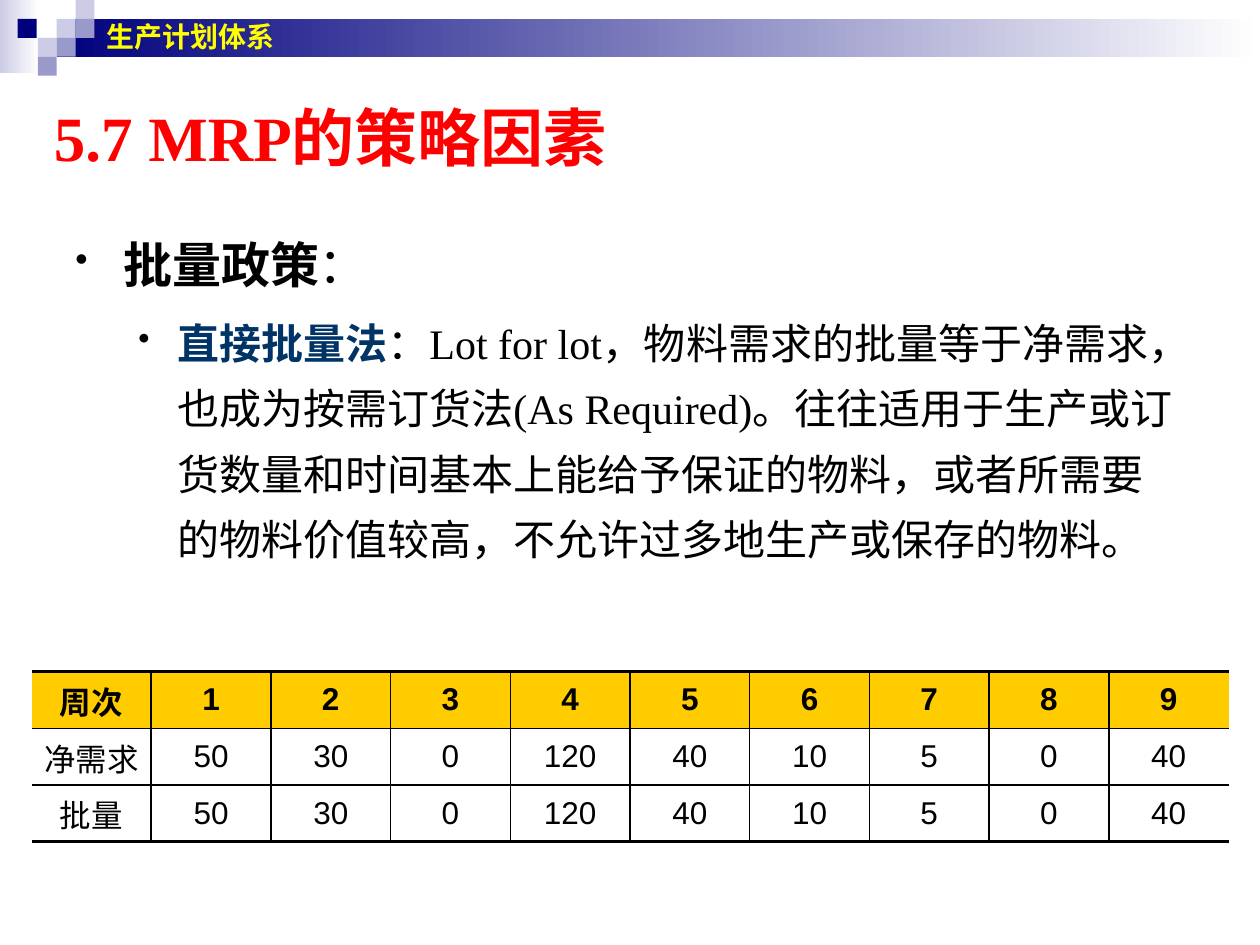
import dataclasses

import lxml.etree
import pptx
import pptx.dml.color
import pptx.enum.shapes
import pptx.enum.text
import pptx.oxml.ns
import pptx.util

Inches = pptx.util.Inches
Pt = pptx.util.Pt
qn = pptx.oxml.ns.qn
MIDDLE = pptx.enum.text.MSO_ANCHOR.MIDDLE
TOP = pptx.enum.text.MSO_ANCHOR.TOP
CENTER = pptx.enum.text.PP_ALIGN.CENTER


@dataclasses.dataclass(frozen=True)
class Theme:
    navy: str = "00007D"
    lavender: str = "CCCCE6"
    violet: str = "9999CC"
    white: str = "FFFFFF"
    black: str = "000000"
    red: str = "FF0000"
    yellow: str = "FFFF00"
    term: str = "003366"
    gold: str = "FFCC00"
    serif: str = "Times New Roman"
    sans: str = "Arial"
    title_size: int = 36
    topic_size: int = 28
    detail_size: int = 24
    table_size: int = 18
    header_size: int = 16
    thick: float = 2.25
    thin: float = 1


def rgb(color):
    return pptx.dml.color.RGBColor.from_string(color)


class SlideBuilder:
    def __init__(self, theme, page):
        self.theme = theme
        self.page = page

    def rect(self, left, top, width, height, color, fade_to=None):
        box = self.page.shapes.add_shape(
            pptx.enum.shapes.MSO_SHAPE.RECTANGLE,
            Inches(left), Inches(top), Inches(width), Inches(height))
        box.shadow.inherit = False
        box.line.fill.background()
        if fade_to:
            box.fill.gradient()
            box.fill.gradient_angle = 0
            for stop, (position, shade) in zip(
                    box.fill.gradient_stops, ((0, color), (1, fade_to))):
                stop.position = position
                stop.color.rgb = rgb(shade)
        else:
            box.fill.solid()
            box.fill.fore_color.rgb = rgb(color)

    def text_box(self, left, top, width, height, anchor=MIDDLE):
        box = self.page.shapes.add_textbox(
            Inches(left), Inches(top), Inches(width), Inches(height))
        frame = box.text_frame
        frame.word_wrap = True
        frame.vertical_anchor = anchor
        return frame

    def span(self, para, text, color, **font_values):
        span = para.add_run()
        span.text = text
        span.font.color.rgb = rgb(color)
        for name, value in font_values.items():
            setattr(span.font, name, value)

    def bullet(self, para, margin, hanging, percent):
        props = para._p.get_or_add_pPr()
        props.set("marL", str(Inches(margin)))
        props.set("indent", str(-Inches(hanging)))
        color = lxml.etree.SubElement(props, qn("a:buClr"))
        lxml.etree.SubElement(color, qn("a:srgbClr"), val=self.theme.black)
        lxml.etree.SubElement(props, qn("a:buSzPct"), val=str(percent * 1000))
        lxml.etree.SubElement(props, qn("a:buChar"), char="•")

    def borders(self, cell, widths):
        props = cell._tc.get_or_add_tcPr()
        for index, (side, width) in enumerate(widths.items()):
            line = lxml.etree.Element(qn(f"a:ln{side}"), w=str(Pt(width)))
            if width:
                fill = lxml.etree.SubElement(line, qn("a:solidFill"))
                lxml.etree.SubElement(
                    fill, qn("a:srgbClr"), val=self.theme.black)
            else:
                lxml.etree.SubElement(line, qn("a:noFill"))
            props.insert(index, line)

    def table(self, left, top, col_width, row_height, rows):
        theme = self.theme
        row_count, col_count = len(rows), len(rows[0])
        table = self.page.shapes.add_table(
            row_count, col_count, Inches(left), Inches(top),
            Inches(col_width * col_count),
            Inches(row_height * row_count)).table
        table.first_row = table.horz_banding = False
        for column in table.columns:
            column.width = Inches(col_width)
        for r, values in enumerate(rows):
            table.rows[r].height = Inches(row_height)
            for c, value in enumerate(values):
                cell = table.cell(r, c)
                cell.vertical_anchor = MIDDLE
                if r == 0:
                    cell.fill.solid()
                    cell.fill.fore_color.rgb = rgb(theme.gold)
                else:
                    cell.fill.background()
                # Open sides, thick rules above and below the table
                self.borders(cell, {
                    "L": theme.thin if c else 0,
                    "R": theme.thin if c < col_count - 1 else 0,
                    "T": theme.thin if r else theme.thick,
                    "B": theme.thin if r < row_count - 1 else theme.thick})
                para = cell.text_frame.paragraphs[0]
                para.alignment = CENTER
                self.span(para, value, theme.black, name=theme.sans,
                          size=Pt(theme.table_size), bold=r == 0)


def main():
    theme = Theme()
    deck = pptx.Presentation()
    deck.slide_width, deck.slide_height = Inches(10), Inches(7.5)
    page = deck.slides.add_slide(deck.slide_layouts[6])
    builder = SlideBuilder(theme, page)

    # Header band and its checkered corner
    builder.rect(0, 0, 0.31, 0.58, theme.lavender, fade_to=theme.white)
    builder.rect(0.45, 0.15, 9.55, 0.3, theme.navy, fade_to=theme.white)
    square = 0.15
    for left, top, color in (
            (0.45, 0.15, theme.lavender), (0.6, 0, theme.lavender),
            (0.6, 0.15, theme.violet), (0.3, 0.3, theme.lavender),
            (0.14, 0.15, theme.navy), (0.45, 0.3, theme.violet),
            (0.3, 0.45, theme.violet)):
        builder.rect(left, top, square, square, color)

    # Title
    title = builder.text_box(0.33, 0.75, 9, 0.67)
    builder.span(title.paragraphs[0], "5.7 MRP的策略因素", theme.red,
                 name=theme.serif, size=Pt(theme.title_size), bold=True)

    # Topic and its explanation
    body = builder.text_box(0.5, 1.58, 9, 5.42, anchor=TOP)
    topic = body.paragraphs[0]
    detail = body.add_paragraph()
    detail.level = 1
    detail.space_before = Pt(5)
    for para, bullet, spacing, size, term, color, text in (
            (topic, (0.38, 0.38, 75), 1.5, theme.topic_size,
             "批量政策", theme.black, "："),
            (detail, (0.81, 0.31, 80), 1.3, theme.detail_size,
             "直接批量法", theme.term,
             "：Lot for lot，物料需求的批量等于净需求，也成为按需订货法"
             "(As Required)。往往适用于生产或订货数量和时间基本上能给予"
             "保证的物料，或者所需要的物料价值较高，不允许过多地生产或"
             "保存的物料。")):
        para.line_spacing = spacing
        builder.bullet(para, *bullet)
        font = {"name": theme.serif, "size": Pt(size)}
        builder.span(para, term, color, bold=True, **font)
        builder.span(para, text, theme.black, bold=False, **font)

    # Chapter name on the header band
    header = builder.text_box(0.75, 0, 8.83, 0.58)
    builder.span(header.paragraphs[0], "生产计划体系", theme.yellow,
                 name=theme.sans, size=Pt(theme.header_size), bold=True)

    # Weekly net demand and lot sizes, equal under lot for lot
    demand = ["50", "30", "0", "120", "40", "10", "5", "0", "40"]
    weeks = [str(week) for week in range(1, len(demand) + 1)]
    builder.table(0.25, 5.33, 0.95, 0.45, [
        ["周次", *weeks], ["净需求", *demand], ["批量", *demand]])

    deck.save("out.pptx")


if __name__ == "__main__":
    main()
